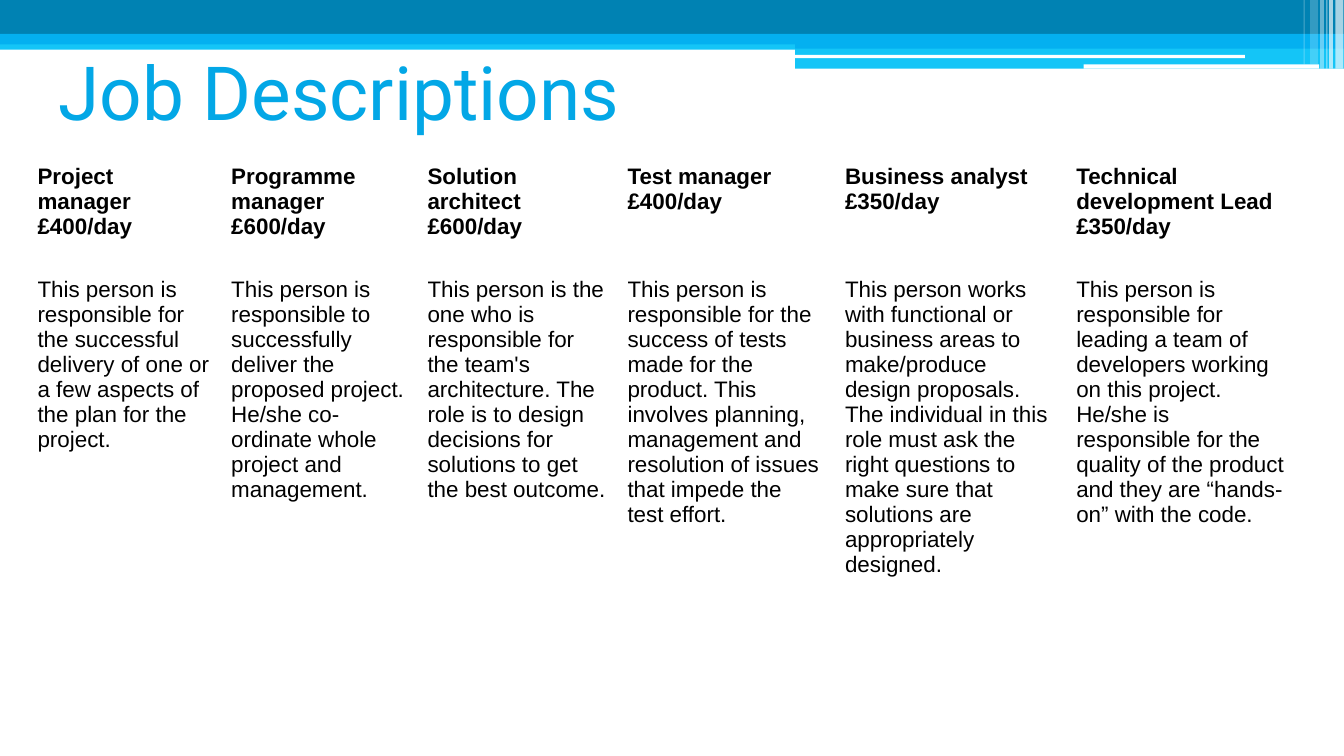
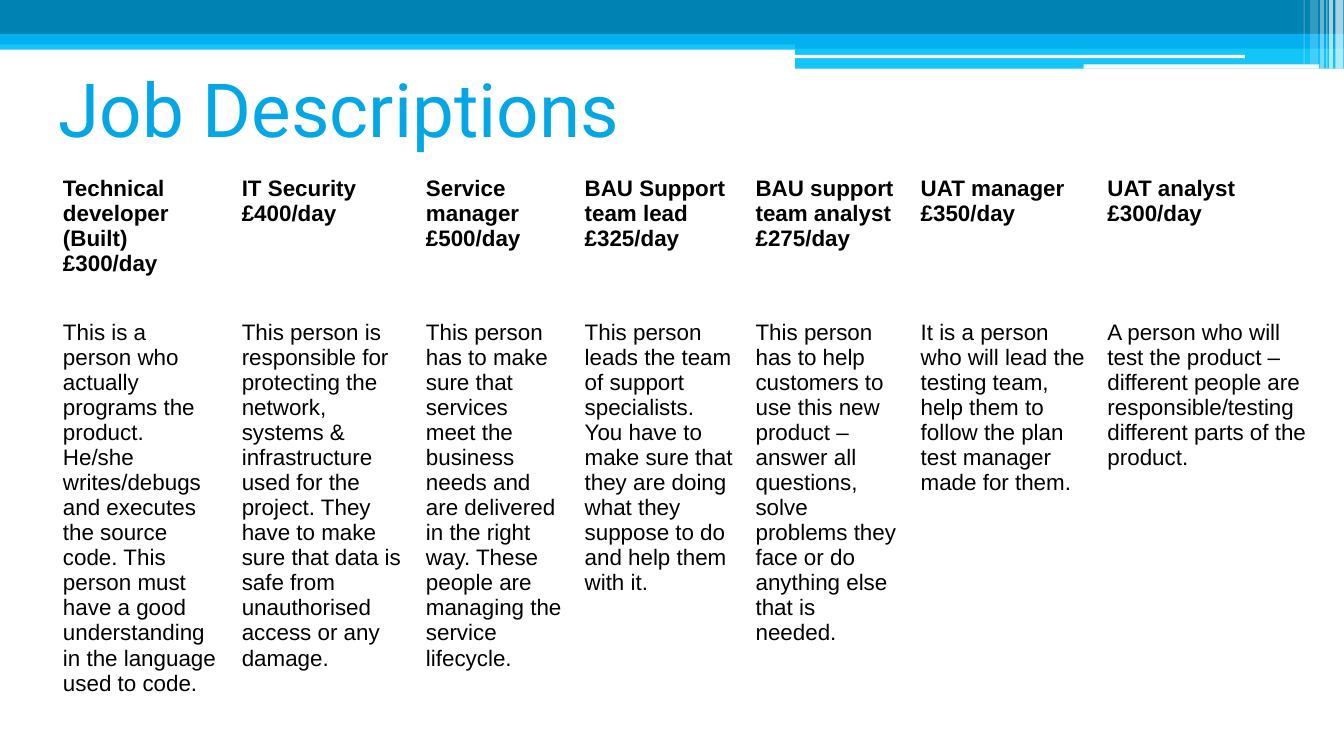
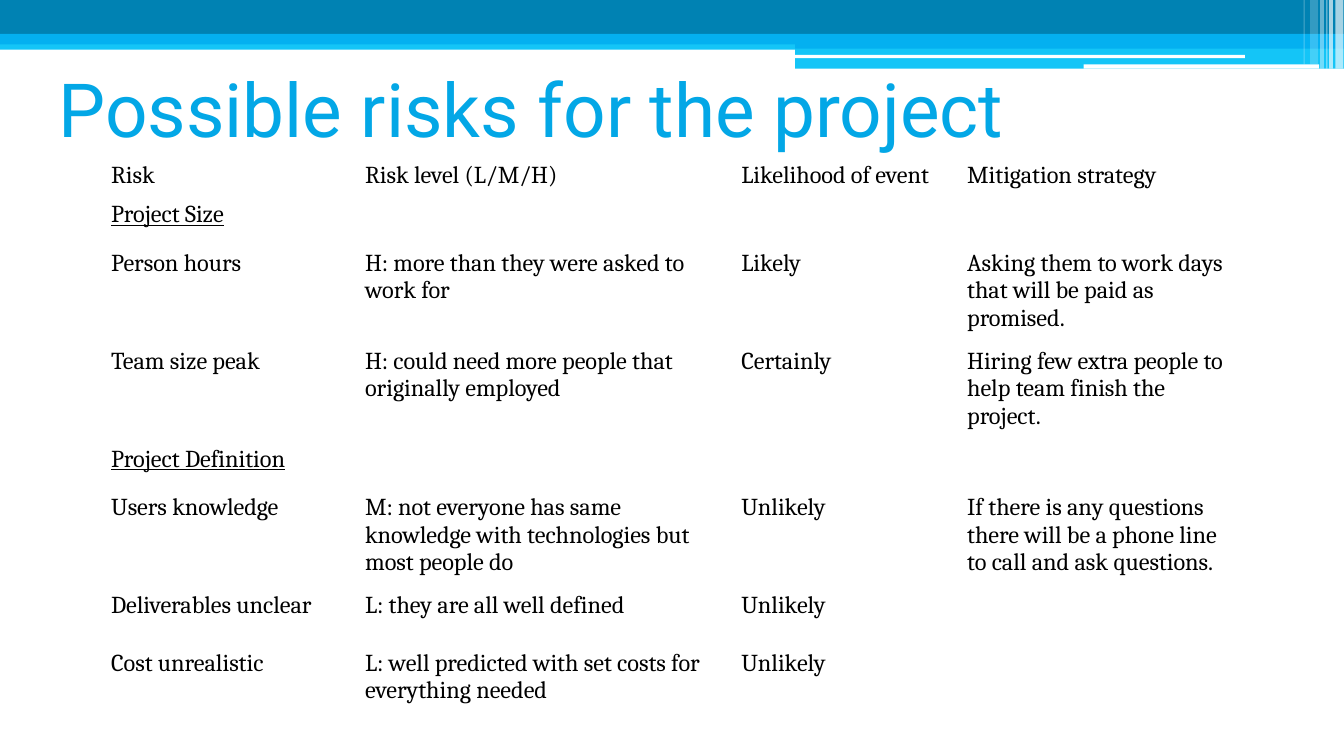
from lxml.etree import SubElement
from pptx import Presentation
from pptx.dml.color import RGBColor as RGB
from pptx.enum.shapes import MSO_SHAPE as SHAPE
from pptx.enum.text import MSO_ANCHOR as ANCHOR
from pptx.oxml.ns import qn
from pptx.util import Cm, Pt

COLORS = {
    "deep": "0082B3",
    "mid": "04B0F0",
    "bright": "14C5F7",
    "title": "03A7E6",
    "text": "000000",
    "white": "FFFFFF",
}

# Top band: left, top, width, height, colour, opacity in percent
BANDS = [
    (0, 0.76, 25.4, 0.18, "bright", 100),
    (0, 0, 25.4, 0.64, "deep", 100),
    (0, 0.64, 25.4, 0.2, "mid", 100),
    (15.03, 0.76, 10.37, 0.18, "mid", 100),
    (15.03, 0.92, 10.37, 0.38, "bright", 100),
    (15.02, 1.04, 8.51, 0.06, "white", 100),
    (20.48, 1.22, 4.45, 0.08, "white", 100),
    (25.24, 0, 0.15, 1.3, "white", 65),
    (25.12, 0, 0.07, 1.3, "white", 65),
    (25.07, 0, 0.02, 1.3, "white", 60),
    (24.95, 0, 0.07, 1.3, "white", 40),
    (24.76, 0, 0.15, 1.22, "white", 20),
    (24.64, 0, 0.02, 1.22, "white", 30),
]

# Jobs: role and day rate, then duties
LEAD_JOBS = [
    ("Project manager\n£400/day",
     "This person is responsible for the successful delivery of one or a few "
     "aspects of the plan for the project."),
    ("Programme manager\n£600/day",
     "This person is responsible to successfully deliver the proposed project. "
     "He/she co-ordinate whole project and management."),
    ("Solution architect\n£600/day",
     "This person is the one who is responsible for the team's architecture. "
     "The role is to design decisions for solutions to get the best outcome."),
    ("Test manager\n£400/day",
     "This person is responsible for the success of tests made for the product. "
     "This involves planning, management and resolution of issues that impede "
     "the test effort."),
    ("Business analyst\n£350/day",
     "This person works with functional or business areas to make/produce design "
     "proposals. The individual in this role must ask the right questions to make "
     "sure that solutions are appropriately designed."),
    ("Technical development Lead\n£350/day",
     "This person is responsible for leading a team of developers working on this "
     "project. He/she is responsible for the quality of the product and they are "
     "“hands-on” with the code."),
]
SUPPORT_JOBS = [
    ("Technical developer (Built)\n£300/day",
     "This is a person who actually programs the product. He/she writes/debugs and "
     "executes the source code. This person must have a good understanding in the "
     "language used to code."),
    ("IT Security\n£400/day",
     "This person is responsible for protecting the network, systems & "
     "infrastructure used for the project. They have to make sure that data is "
     "safe from unauthorised access or any damage."),
    ("Service manager\n£500/day",
     "This person has to make sure that services meet the business needs and are "
     "delivered in the right way. These people are managing the service lifecycle."),
    ("BAU Support team lead\n£325/day",
     "This person leads the team of support specialists. You have to make sure that "
     "they are doing what they suppose to do and help them with it."),
    ("BAU support team analyst\n£275/day",
     "This person has to help customers to use this new product – answer all "
     "questions, solve problems they face or do anything else that is needed."),
    ("UAT manager\n£350/day",
     "It is a person who will lead the testing team, help them to follow the plan "
     "test manager made for them."),
    ("UAT analyst\n£300/day",
     "A person who will test the product – different people are "
     "responsible/testing different parts of the product."),
]
RISKS = [
    ("Risk", "Risk level (L/M/H)", "Likelihood of event", "Mitigation strategy"),
    ("Project Size", "", "", ""),
    ("Person hours", "H: more than they were asked to work for", "Likely",
     "Asking them to work days that will be paid as promised."),
    ("Team size peak", "H: could need more people that originally employed",
     "Certainly", "Hiring few extra people to help team finish the project."),
    ("Project Definition", "", "", ""),
    ("Users knowledge",
     "M: not everyone has same knowledge with technologies but most people do",
     "Unlikely",
     "If there is any questions there will be a phone line to call and ask questions."),
    ("Deliverables unclear", "L: they are all well defined", "Unlikely", ""),
    ("Cost unrealistic", "L: well predicted with set costs for everything needed",
     "Unlikely", ""),
]
RISK_GROUPS = ("Project Size", "Project Definition")

PAGES = [
    {"title": "Job Descriptions", "title_top": 0.91, "rows": list(zip(*LEAD_JOBS)),
     "left": 0.51, "top": 3, "widths": [3.66, 3.71, 3.78, 4.11, 4.37, 4.39],
     "heights": [2.13, 6.43], "font": "Arial", "size": 12, "jobs": True,
     "duties_inset": 0.1},
    {"title": "Job Descriptions", "title_top": 1.24, "rows": list(zip(*SUPPORT_JOBS)),
     "left": 0.99, "top": 3.23, "widths": [3.38, 3.48, 3, 3.23, 3.12, 3.53, 4.19],
     "heights": [2.21, 7.54], "font": "Arial", "size": 12, "jobs": True,
     "duties_inset": 0.58},
    {"title": "Possible risks for the project", "title_top": 1.24, "rows": RISKS,
     "left": 1.9, "top": 2.95, "widths": [4.8, 7.11, 4.27, 5.41],
     "heights": [0.73, 0.91, 1.77, 1.77, 0.91, 1.77, 1.09, 1.09],
     "font": "Cambria", "size": 13, "jobs": False},
]


def paint(fill, properties, color, opacity=100):
    fill.solid()
    fill.fore_color.rgb = RGB.from_string(COLORS[color])
    if opacity < 100:
        solid = properties.find(".//" + qn("a:srgbClr"))
        SubElement(solid, qn("a:alpha"), val=str(opacity * 1000))


def add_borders(cell, bottom):
    properties = cell._tc.get_or_add_tcPr()
    for place, (side, width) in enumerate(
            [("lnL", 1), ("lnR", 1), ("lnT", 1), ("lnB", bottom)]):
        line = SubElement(properties, qn("a:" + side), w=str(Pt(width)))
        solid = SubElement(line, qn("a:solidFill"))
        SubElement(solid, qn("a:srgbClr"), val=COLORS["white"])
        properties.insert(place, line)  # borders come before the fill


deck = Presentation()
deck.slide_width, deck.slide_height = Cm(25.4), Cm(14.29)

for page in PAGES:
    slide = deck.slides.add_slide(deck.slide_layouts[6])

    # Top band
    for left, top, width, height, color, opacity in BANDS:
        band = slide.shapes.add_shape(
            SHAPE.RECTANGLE, Cm(left), Cm(top), Cm(width), Cm(height))
        band.shadow.inherit = False
        paint(band.fill, band._element.spPr, color, opacity)
        band.line.fill.background()

    # Title
    heading = slide.shapes.add_textbox(
        Cm(0.86), Cm(page["title_top"]), Cm(23.67), Cm(1.6)).text_frame
    heading.word_wrap = True
    heading.vertical_anchor = ANCHOR.MIDDLE
    heading.margin_left = heading.margin_right = Cm(0.25)
    heading.margin_top = heading.margin_bottom = Cm(0.25)
    heading.text = page["title"]
    heading_font = heading.paragraphs[0].runs[0].font
    heading_font.name, heading_font.size = "Roboto", Pt(40)
    heading_font.color.rgb = RGB.from_string(COLORS["title"])

    # Table of jobs or risks
    rows, widths, heights = page["rows"], page["widths"], page["heights"]
    table = slide.shapes.add_table(
        len(rows), len(widths), Cm(page["left"]), Cm(page["top"]),
        Cm(sum(widths)), Cm(sum(heights))).table
    table.first_row = table.horz_banding = False
    for column, width in zip(table.columns, widths):
        column.width = Cm(width)

    for r, entries in enumerate(rows):
        table.rows[r].height = Cm(heights[r])
        is_role = page["jobs"] and r == 0
        is_duties = page["jobs"] and r == 1
        for c, entry in enumerate(entries):
            cell = table.cell(r, c)
            cell.margin_left = cell.margin_right = Cm(0.2)
            cell.margin_top = Cm(page["duties_inset"] if is_duties else 0.1)
            cell.margin_bottom = Cm(0.1)
            if is_duties:
                paint(cell.fill, cell._tc.tcPr, "white", 20)
            else:
                cell.fill.background()
            add_borders(cell, bottom=2 if is_role else 1)

            cell.text_frame.text = entry
            for paragraph in cell.text_frame.paragraphs:
                for run in paragraph.runs:
                    run.font.name, run.font.size = page["font"], Pt(page["size"])
                    run.font.color.rgb = RGB.from_string(COLORS["text"])
                    run.font.bold = is_role
                    run.font.underline = entry in RISK_GROUPS
                if not entry:
                    SubElement(paragraph._p, qn("a:endParaRPr"),
                               sz=str(page["size"] * 100))

deck.save("out.pptx")
